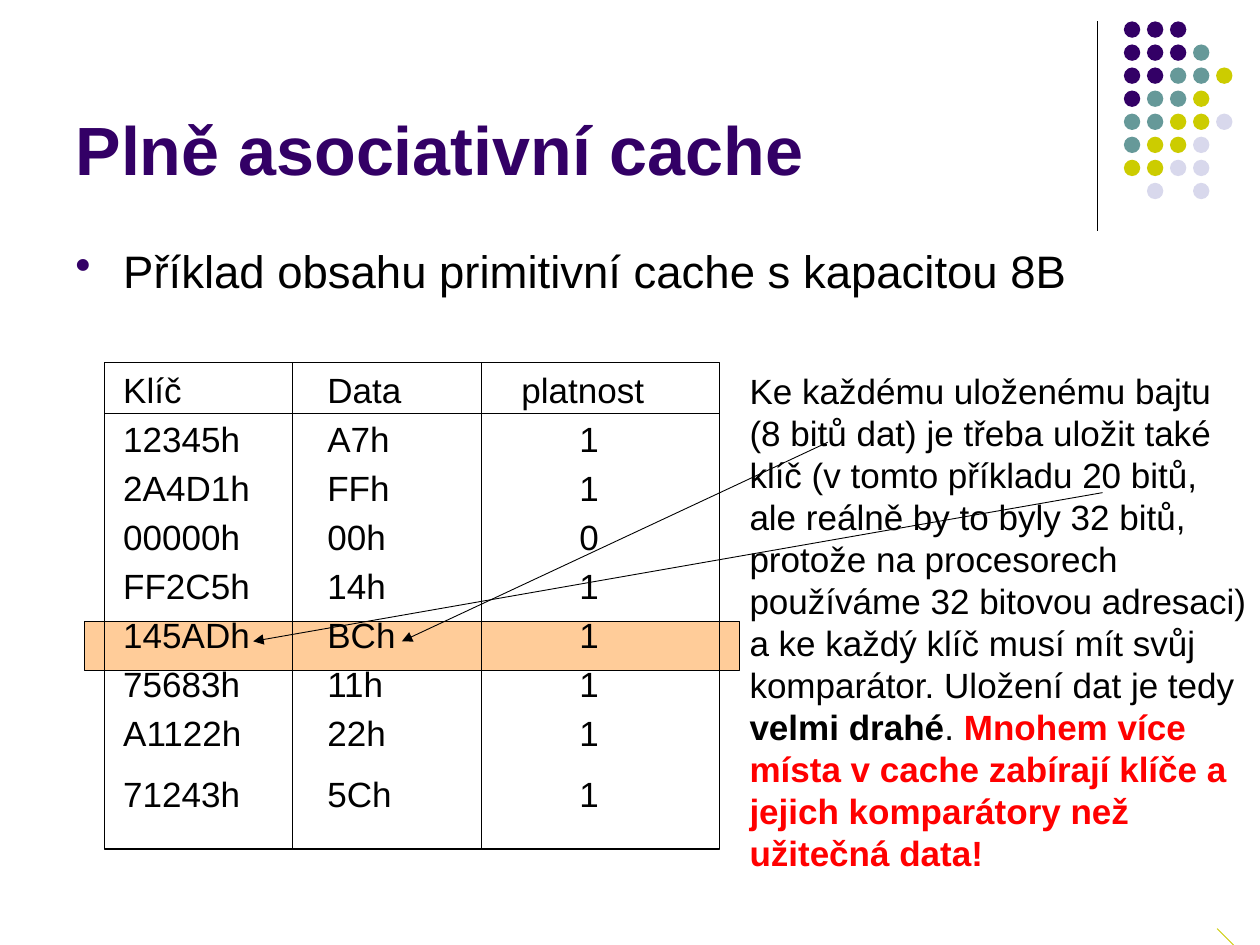
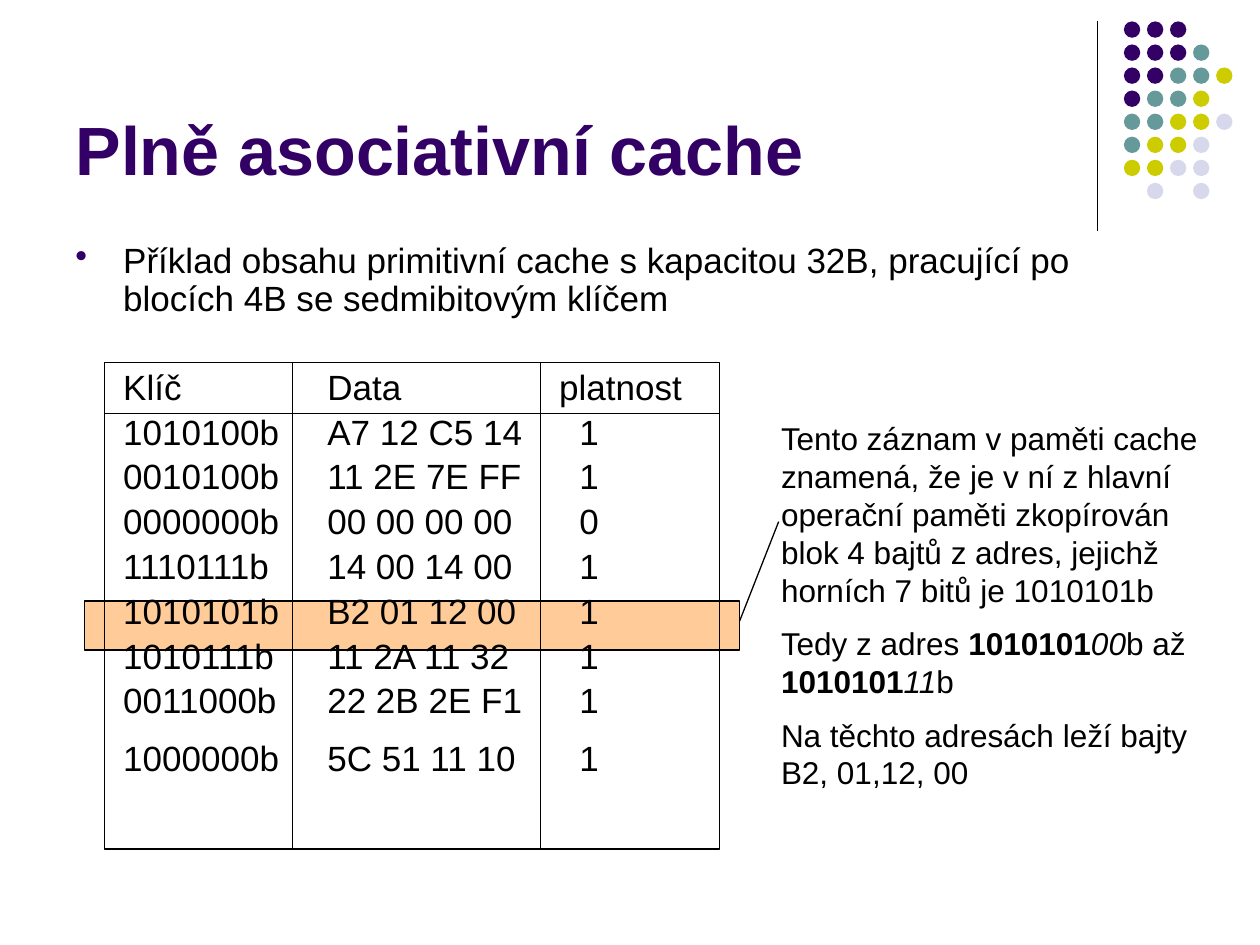
from pptx import Presentation
from pptx.dml.color import RGBColor
from pptx.enum.shapes import MSO_CONNECTOR as Connector, MSO_SHAPE as Shape
from pptx.enum.text import MSO_ANCHOR as Anchor, PP_ALIGN as Align
from pptx.oxml.ns import qn
from pptx.util import Inches, Pt
from lxml.etree import SubElement

COLORS = {name: RGBColor.from_string(value) for name, value in {
    "purple": "330066", "teal": "669999", "olive": "CCCC00", "lilac": "D8D8EC",
    "peach": "FFCC99", "red": "FF0000", "black": "000000"}.items()}
FONT = "Arial"
TITLE = "Plně asociativní cache"

# The page is a grid of 100 columns and 75 rows of square cells.
COLUMNS, ROWS = 100, 75
CELL = Inches(0.1)

DOT_ROWS = ["PPP", "PPPT", "PPTTO", "PTTO", "TTOOL", "TOOL", "OOLL", " L L"]
DOT_COLORS = {"P": "purple", "T": "teal", "O": "olive", "L": "lilac"}
DOT_LEFT, DOT_TOP, DOT_PITCH, DOT_SIZE = 89.2, 1.7, 1.83, 1.3

TABLE_TOP, TABLE_HEIGHT, HEADER_BOTTOM = 28.8, 38.6, 32.8
TEXT_INDENT, TEXT_EDGE = 3.8, 9.8

PAGES = [
    {
        "bullet": "Příklad obsahu primitivní cache s kapacitou 8B",
        "bullet_size": 26, "line_spacing": 1.0, "header_gap": 40.3,
        "edges": [8.3, 23.2, 38.2, 57.1],
        "header_tabs": [26, 41.4], "row_tabs": [26, 46],
        "rows": ["12345h A7h 1", "2A4D1h FFh 1", "00000h 00h 0", "FF2C5h 14h 1",
                 "145ADh BCh 1", "75683h 11h 1", "A1122h 22h 1", "71243h 5Ch 1"],
        "highlight_top": 49.3,
        "note_area": (58.5, 28.8, 41.5, 41.4), "note_size": 20,
        "note": [[
            ("Ke každému uloženému bajtu (8 bitů dat) je třeba uložit také klíč "
             "(v tomto příkladu 20 bitů, ale reálně by to byly 32 bitů, protože na "
             "procesorech používáme 32 bitovou adresaci) a ke každý klíč musí mít "
             "svůj komparátor. Uložení dat je tedy ", ""),
            ("velmi drahé", "bold"), (". ", ""),
            ("Mnohem více místa v cache zabírají klíče a jejich komparátory než "
             "užitečná data!", "bold red")]],
        "lines": [((65.7, 35.1, 31.9, 50.9), "black", 0.5, True),
                  ((96.6, 73.7, 97.9, 75), "olive", 0.5, False),
                  ((87.5, 39.1, 20.1, 50.9), "black", 0.5, True)],
    },
    {
        "bullet": "Příklad obsahu primitivní cache s kapacitou 32B, pracující po "
                  "blocích 4B se sedmibitovým klíčem",
        "bullet_size": 20, "line_spacing": 0.9, "header_gap": 29.4,
        "edges": [8.3, 23.2, 42.9, 57.1],
        "header_tabs": [26, 44.4], "row_tabs": [26, 46],
        "rows": ["1010100b A7 12 C5 14 1", "0010100b 11 2E 7E FF 1",
                 "0000000b 00 00 00 00 0", "1110111b 14 00 14 00 1",
                 "1010101b B2 01 12 00 1", "1010111b 11 2A 11 32 1",
                 "0011000b 22 2B 2E F1 1", "1000000b 5C 51 11 10 1"],
        "highlight_top": 47.7,
        "note_area": (61, 32.8, 37.8, 31.1), "note_size": 18,
        "note": [
            [("Tento záznam v paměti cache znamená, že je v ní z hlavní operační "
              "paměti zkopírován blok 4 bajtů z adres, jejichž horních 7 bitů je "
              "1010101b", "")],
            [("Tedy z adres ", ""), ("1010101", "bold"), ("00", "italic"),
             ("b až ", ""), ("1010101", "bold"), ("11", "italic"), ("b", "")],
            [("Na těchto adresách leží bajty B2, 01,12, 00", "")]],
        "lines": [((58.7, 49.3, 61.8, 41.4), "black", 0.75, False)],
    },
]


def cells(*counts):
    """Turn counts of grid cells into lengths."""
    return [int(count * CELL) for count in counts]


def add_line(page, ends, color, width, arrow=False):
    """Draw a straight line between two grid points, with an optional arrowhead."""
    line = page.shapes.add_connector(Connector.STRAIGHT, *cells(*ends))
    line.line.color.rgb = COLORS[color]
    line.line.width = Pt(width)
    if arrow:
        SubElement(line.line._get_or_add_ln(), qn("a:tailEnd"), type="triangle")
    SubElement(line._element.spPr, qn("a:effectLst"))


deck = Presentation()
deck.slide_width, deck.slide_height = cells(COLUMNS, ROWS)

for content in PAGES:
    page = deck.slides.add_slide(deck.slide_layouts[5])

    # Corner decoration
    add_line(page, (87.1, 1.7, 87.1, 18.3), "black", 0.75)
    dots = page.shapes.add_group_shape()
    for row, letters in enumerate(DOT_ROWS):
        for column, letter in enumerate(letters):
            if letter == " ":
                continue
            dot = dots.shapes.add_shape(Shape.OVAL, *cells(
                DOT_LEFT + column * DOT_PITCH, DOT_TOP + row * DOT_PITCH,
                DOT_SIZE, DOT_SIZE))
            dot.shadow.inherit = False
            dot.fill.solid()
            dot.fill.fore_color.rgb = COLORS[DOT_COLORS[letter]]
            dot.line.fill.background()

    # Title
    title = page.shapes.title
    title.left, title.top, title.width, title.height = cells(5, 1.3, 82.5, 14.2)
    title.text_frame.text = TITLE
    title.text_frame.vertical_anchor = Anchor.BOTTOM
    para = title.text_frame.paragraphs[0]
    para.alignment = Align.LEFT
    para.font.name, para.font.size, para.font.bold = FONT, Pt(39), True
    para.font.color.rgb = COLORS["purple"]

    # Highlighted record and column frames
    edges = content["edges"]
    areas = [(6.7, content["highlight_top"], 52, 3.9)]
    areas += [(left, TABLE_TOP, right - left, TABLE_HEIGHT)
              for left, right in zip(edges, edges[1:])]
    for number, area in enumerate(areas):
        frame = page.shapes.add_shape(Shape.RECTANGLE, *cells(*area))
        frame.shadow.inherit = False
        frame.line.color.rgb = COLORS["black"]
        frame.line.width = Pt(0.75)
        if number == 0:
            frame.fill.solid()
            frame.fill.fore_color.rgb = COLORS["peach"]
        else:
            frame.fill.background()
    add_line(page, (edges[0], HEADER_BOTTOM, edges[-1], HEADER_BOTTOM), "black", 0.75)

    # Bullet and the records, aligned by tab stops
    body = page.shapes.add_textbox(*cells(5, 18.8, 90, 48.2)).text_frame
    body.word_wrap = True
    records = [record.split(" ", 1) for record in content["rows"]]
    records = [[key, *rest.rsplit(" ", 1)] for key, rest in records]
    texts = [content["bullet"], "Klíč\tData\tplatnost"] + ["\t".join(r) for r in records]
    gaps = [0, content["header_gap"]] + [4] * (len(records) - 1) + [11.2]
    for number, (text, gap) in enumerate(zip(texts, gaps)):
        para = body.paragraphs[0] if number == 0 else body.add_paragraph()
        para.text = text
        para.space_before = Pt(gap)
        para.line_spacing = content["line_spacing"]
        para.font.name = FONT
        para.font.size = Pt(content["bullet_size"] if number == 0 else 20)
        para.font.color.rgb = COLORS["black"]
        properties = para._p.get_or_add_pPr()
        indent = cells(TEXT_INDENT)[0]
        properties.set("marL", str(indent))
        if number == 0:
            properties.set("indent", str(-indent))
            bullet_color = SubElement(properties, qn("a:buClr"))
            SubElement(bullet_color, qn("a:srgbClr"), val=str(COLORS["purple"]))
            SubElement(properties, qn("a:buChar"), char="•")
        else:
            tabs = content["header_tabs" if number == 1 else "row_tabs"]
            stops = SubElement(properties, qn("a:tabLst"))
            for stop in cells(*[tab - TEXT_EDGE for tab in tabs]):
                SubElement(stops, qn("a:tab"), pos=str(stop), algn="l")
        # The schema wants the font defaults after bullets and tabs.
        properties.append(properties.find(qn("a:defRPr")))

    # Explanation beside the table
    note = page.shapes.add_textbox(*cells(*content["note_area"])).text_frame
    note.word_wrap = True
    for number, spans in enumerate(content["note"]):
        para = note.paragraphs[0] if number == 0 else note.add_paragraph()
        para.space_before = Pt(9 if number else 0)
        para.font.name, para.font.size = FONT, Pt(content["note_size"])
        for text, style in spans:
            span = para.add_run()
            span.text = text
            span.font.bold = "bold" in style
            span.font.italic = "italic" in style
            span.font.color.rgb = COLORS["red" if "red" in style else "black"]

    for ends, color, width, arrow in content["lines"]:
        add_line(page, ends, color, width, arrow)

deck.save("out.pptx")
